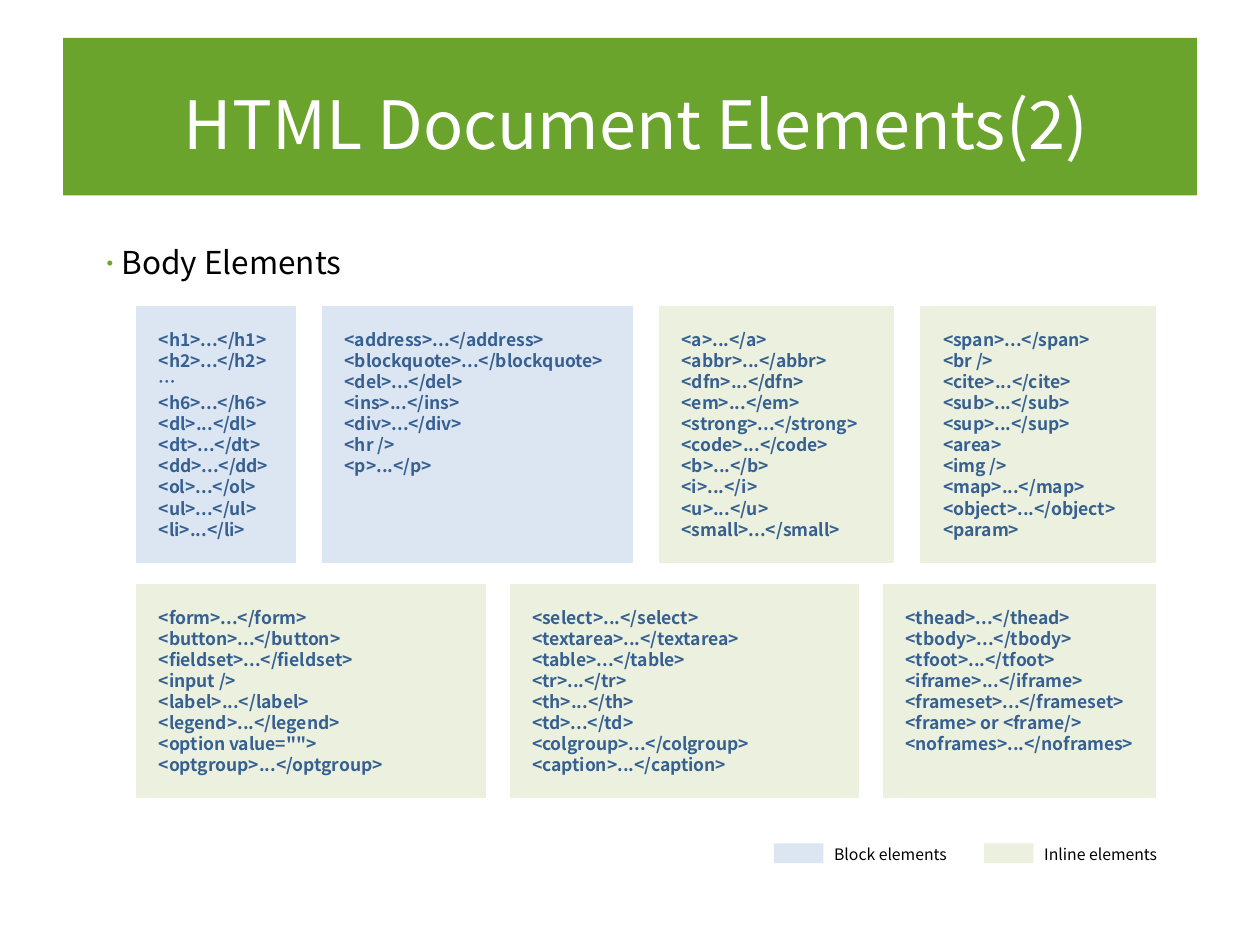
from lxml import etree
from pptx import Presentation
from pptx.dml.color import RGBColor
from pptx.enum.shapes import MSO_SHAPE
from pptx.enum.text import MSO_ANCHOR, MSO_AUTO_SIZE, PP_ALIGN
from pptx.oxml.ns import qn
from pptx.util import Pt

RECTANGLE = MSO_SHAPE.RECTANGLE
MIDDLE, TOP = MSO_ANCHOR.MIDDLE, MSO_ANCHOR.TOP
CENTER, LEFT = PP_ALIGN.CENTER, PP_ALIGN.LEFT
NO_AUTOSIZE = MSO_AUTO_SIZE.NONE

FONT = "Noto Sans CJK SC"
WHITE = RGBColor(0xFF, 0xFF, 0xFF)
BLACK = RGBColor(0, 0, 0)
GREEN = RGBColor(0x6B, 0xA4, 0x2C)
BLUE_TEXT = RGBColor(0x37, 0x60, 0x92)
BLOCK = RGBColor(0xDC, 0xE6, 0xF2)
INLINE = RGBColor(0xEB, 0xF1, 0xDE)


def write(box, lines, size, color, spacing, bold=False, align=LEFT,
          anchor=TOP, hanging=0, insets=(7.2, 3.6, 0, 3.6)):
    """Fill a shape with one paragraph per line."""
    frame = box.text_frame
    left, top, right, bottom = insets
    settings = {
        "margin_left": Pt(left), "margin_top": Pt(top),
        "margin_right": Pt(right), "margin_bottom": Pt(bottom),
        "word_wrap": True, "auto_size": NO_AUTOSIZE, "vertical_anchor": anchor,
    }
    for name, value in settings.items():
        setattr(frame, name, value)
    for number, line in enumerate(lines):
        para = frame.add_paragraph() if number else frame.paragraphs[0]
        para.alignment = align
        para.line_spacing = Pt(spacing)
        if hanging:
            properties = para._p.get_or_add_pPr()
            properties.set("marL", str(Pt(hanging)))
            properties.set("indent", str(Pt(-hanging)))
        span = para.add_run()
        span.text = line
        for name, value in {"name": FONT, "size": Pt(size), "bold": bold}.items():
            setattr(span.font, name, value)
        span.font.color.rgb = color
        east_asian = etree.SubElement(span.font._element, qn("a:ea"))
        east_asian.set("typeface", FONT)


def add_panel(left, top, width, height, fill):
    """Add a flat rectangle without an outline."""
    panel = page.shapes.add_shape(RECTANGLE, Pt(left), Pt(top), Pt(width), Pt(height))
    panel.shadow.inherit = False
    panel.fill.solid()
    panel.fill.fore_color.rgb = fill
    panel.line.fill.background()
    return panel


deck = Presentation()
deck.slide_width, deck.slide_height = Pt(720), Pt(540)
page = deck.slides.add_slide(deck.slide_layouts[5])

title = page.shapes.title
title.left, title.top, title.width, title.height = Pt(36), Pt(21.6), Pt(648), Pt(90)
title.fill.solid()
title.fill.fore_color.rgb = GREEN
write(title, ["HTML Document Elements(2)"], 38, WHITE, 53, align=CENTER, anchor=MIDDLE)

heading = page.shapes.add_textbox(Pt(49), Pt(134), Pt(163), Pt(29))
write(heading, ["Body Elements"], 18, BLACK, 23, hanging=7.5)
bullet_format = heading.text_frame.paragraphs[0]._p.get_or_add_pPr()
bullet_color = etree.SubElement(bullet_format, qn("a:buClr"))
etree.SubElement(bullet_color, qn("a:srgbClr")).set("val", str(GREEN))
etree.SubElement(bullet_format, qn("a:buSzPct")).set("val", "75000")
etree.SubElement(bullet_format, qn("a:buFont")).set("typeface", FONT)
etree.SubElement(bullet_format, qn("a:buChar")).set("char", "•")

# Each row: top, height, and its panels as (width, fill, lines)
GRID_LEFT, GRID_RIGHT = 76.3, 662
rows = [
    (173.5, 149.8, [
        (94.3, BLOCK, ["<h1>...</h1>", "<h2>...</h2>", "…", "<h6>...</h6>",
                       "<dl>...</dl>", "<dt>...</dt>", "<dd>...</dd>",
                       "<ol>...</ol>", "<ul>...</ul>", "<li>...</li>"]),
        (180.7, BLOCK, ["<address>...</address>", "<blockquote>...</blockquote>",
                        "<del>...</del>", "<ins>...</ins>", "<div>...</div>",
                        "<hr />", "<p>...</p>"]),
        (137.5, INLINE, ["<a>...</a>", "<abbr>...</abbr>", "<dfn>...</dfn>",
                         "<em>...</em>", "<strong>...</strong>",
                         "<code>...</code>", "<b>...</b>", "<i>...</i>",
                         "<u>...</u>", "<small>...</small>"]),
        (137.5, INLINE, ["<span>...</span>", "<br />", "<cite>...</cite>",
                         "<sub>...</sub>", "<sup>...</sup>", "<area>", "<img />",
                         "<map>...</map>", "<object>...</object>", "<param>"]),
    ]),
    (332.3, 125.3, [
        (203, INLINE, ["<form>...</form>", "<button>...</button>",
                       "<fieldset>...</fieldset>", "<input />",
                       "<label>...</label>", "<legend>...</legend>",
                       "<option\u00a0value=\"\">", "<optgroup>...</optgroup>"]),
        (203, INLINE, ["<select>...</select>", "<textarea>...</textarea>",
                       "<table>...</table>", "<tr>...</tr>", "<th>...</th>",
                       "<td>...</td>", "<colgroup>...</colgroup>",
                       "<caption>...</caption>"]),
        (159, INLINE, ["<thead>...</thead>", "<tbody>...</tbody>",
                       "<tfoot>...</tfoot>", "<iframe>...</iframe>",
                       "<frameset>...</frameset>",
                       "<frame>\u00a0or\u00a0<frame/>",
                       "<noframes>...</noframes>"]),
    ]),
]
for top, height, panels in rows:
    used = sum(width for width, _, _ in panels)
    gap = (GRID_RIGHT - GRID_LEFT - used) / (len(panels) - 1)
    left = GRID_LEFT
    for width, fill, lines in panels:
        panel = add_panel(left, top, width, height, fill)
        panel.line.color.rgb = WHITE
        panel.line.width = Pt(3)
        write(panel, lines, 10, BLUE_TEXT, 12.06, bold=True, hanging=27,
              insets=(14.4, 14.4, 7.2, 14.4))
        left += width + gap

for left, fill, label in [(442.2, BLOCK, "Block elements"),
                          (562.2, INLINE, "Inline elements")]:
    add_panel(left, 481.9, 28.4, 11.4, fill)
    caption = page.shapes.add_textbox(Pt(left + 27.4), Pt(479), Pt(80.5), Pt(18))
    write(caption, [label], 9, BLACK, 11)

deck.save("out.pptx")
